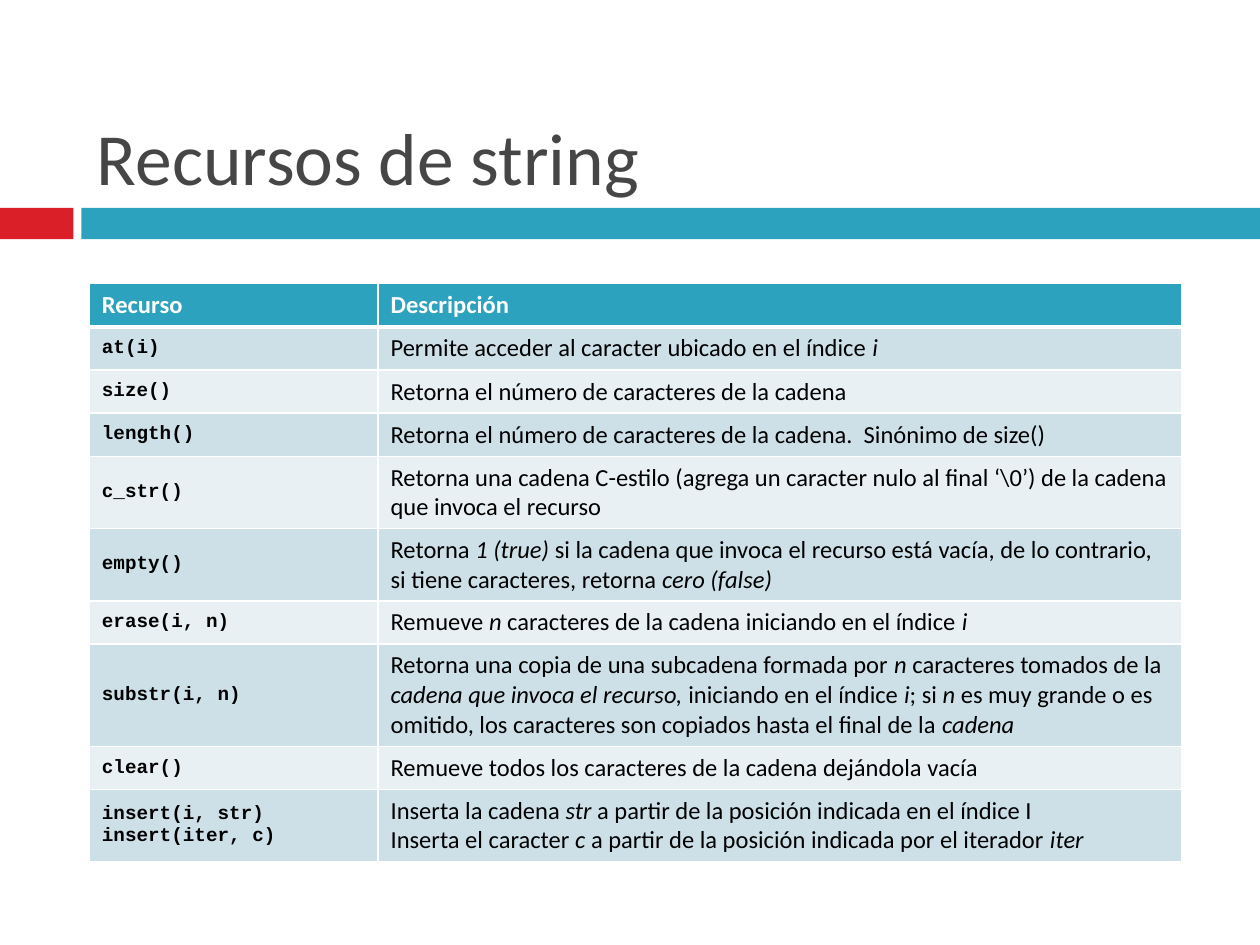
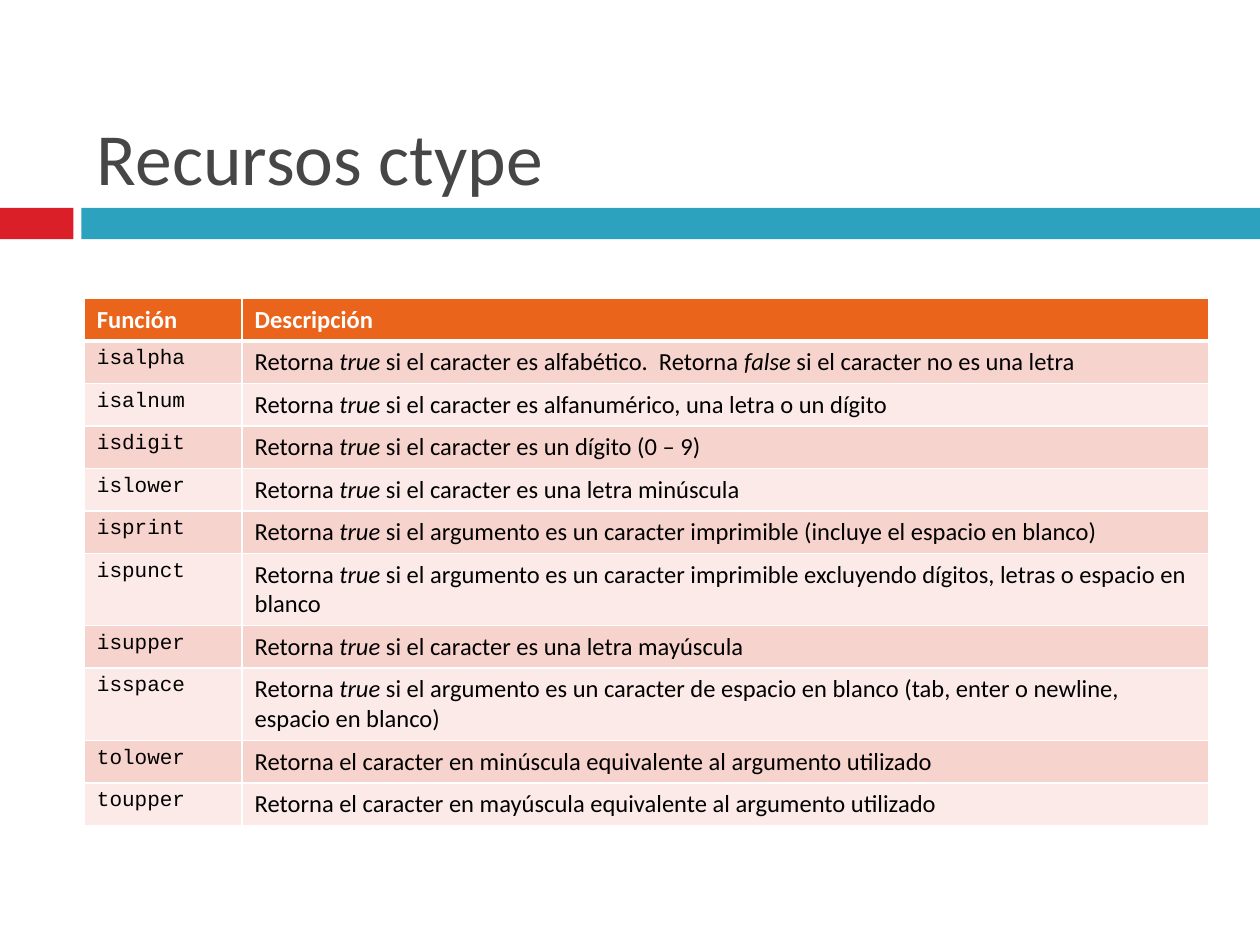
import pptx
import pptx.dml.color
import pptx.enum.shapes
import pptx.enum.text
import pptx.util
from lxml import etree
from pptx.util import Cm

RED, TEAL, ORANGE = "DA1F28", "2DA2BF", "EB641B"
WHITE, BLACK, GREY = "FFFFFF", "000000", "464646"
SANS, MONO = "Calibri", "Courier New"
NS = "http://schemas.openxmlformats.org/drawingml/2006/main"
MIDDLE = pptx.enum.text.MSO_ANCHOR.MIDDLE
TOP = pptx.enum.text.MSO_ANCHOR.TOP


def rgb(color):
    return pptx.dml.color.RGBColor.from_string(color)


def write(tf, text, size=14, font=SANS, color=BLACK, bold=False):
    """Each line becomes a paragraph; parts between asterisks are italic."""
    for n, line in enumerate(text.split("\n")):
        p = tf.paragraphs[0] if n == 0 else tf.add_paragraph()
        p.alignment = pptx.enum.text.PP_ALIGN.LEFT
        for k, part in enumerate(line.split("*")):
            if part:
                r = p.add_run()
                r.text = part
                r.font.size = pptx.util.Pt(size)
                r.font.name = font
                r.font.color.rgb = rgb(color)
                r.font.bold = bold
                r.font.italic = k % 2 == 1


# Each row: name, description, number of lines
string_rows = [
    ("Recurso", "Descripción", 1),
    ("at(i)", "Permite acceder al caracter ubicado en el índice *i*", 1),
    ("size()", "Retorna el número de caracteres de la cadena", 1),
    ("length()", "Retorna el número de caracteres de la cadena.  Sinónimo de size()", 1),
    ("c_str()", "Retorna una cadena C-estilo (agrega un caracter nulo al final ‘\\0’) "
     "de la cadena que invoca el recurso", 2),
    ("empty()", "Retorna *1 (true) *si la cadena que invoca el recurso está vacía, "
     "de lo contrario, si tiene caracteres, retorna *cero (false)*", 2),
    ("erase(i, n)", "Remueve *n* caracteres de la cadena iniciando en el índice *i*", 1),
    ("substr(i, n)", "Retorna una copia de una subcadena formada por *n *caracteres "
     "tomados de la *cadena que invoca el recurso,* iniciando en el índice *i*; si *n *"
     "es muy grande o es omitido, los caracteres son copiados hasta el final de la "
     "*cadena*", 3),
    ("clear()", "Remueve todos los caracteres de la cadena dejándola vacía", 1),
    ("insert(i, str)\ninsert(iter, c)",
     "Inserta la cadena *str* a partir de la posición indicada en el índice I\n"
     "Inserta el caracter *c *a partir de la posición indicada por el iterador *iter*", 2),
]
ctype_rows = [
    ("Función", "Descripción", 1),
    ("isalpha", "Retorna *true* si el caracter es alfabético.  "
     "Retorna *false* si el caracter no es una letra", 1),
    ("isalnum", "Retorna *true* si el caracter es alfanumérico, una letra o un dígito", 1),
    ("isdigit", "Retorna *true* si el caracter es un dígito (0 – 9)", 1),
    ("islower", "Retorna *true* si el caracter es una letra minúscula", 1),
    ("isprint", "Retorna *true* si el argumento es un caracter imprimible "
     "(incluye el espacio en blanco)", 1),
    ("ispunct", "Retorna *true *si el argumento es un caracter imprimible excluyendo "
     "dígitos, letras o espacio en blanco", 2),
    ("isupper", "Retorna *true* si el caracter es una letra mayúscula", 1),
    ("isspace", "Retorna *true* si el argumento es un caracter de espacio en blanco "
     "(tab, enter o newline, espacio en blanco)", 2),
    ("tolower", "Retorna el caracter en minúscula equivalente al argumento utilizado", 1),
    ("toupper", "Retorna el caracter en mayúscula equivalente al argumento utilizado", 1),
]
pages = [
    dict(title="Recursos de string", rows=string_rows, left=1.8, top=5.72,
         widths=(5.82, 16.2), heights={1: 0.87, 2: 1.45, 3: 2.06},
         head=TEAL, bands=("CDE0E8", "E8F0F4"), code_size=11, code_bold=True, anchor=MIDDLE),
    dict(title="Recursos ctype", rows=ctype_rows, left=1.7, top=6.02,
         widths=(3.18, 19.48), heights={1: 0.85, 2: 1.45},
         head=ORANGE, bands=("F7D3CD", "FBEAE8"), code_size=12, code_bold=False, anchor=TOP),
]

prs = pptx.Presentation()
prs.slide_width, prs.slide_height = Cm(25.4), Cm(19.05)
layout = prs.slide_layouts[5]

# Shared title place and bands live on the layout
title = layout.placeholders[0]
title.left, title.top, title.width, title.height = Cm(1.7), Cm(0.43), Cm(22.66), Cm(3.73)
title.text_frame.vertical_anchor = pptx.enum.text.MSO_ANCHOR.BOTTOM
slides = [prs.slides.add_slide(layout) for page in pages]
for left, width, color in ((0, 1.48, RED), (1.64, 23.76, TEAL)):
    sp = slides[0].shapes.add_shape(pptx.enum.shapes.MSO_SHAPE.RECTANGLE,
                                    Cm(left), Cm(4.19), Cm(width), Cm(0.63))
    sp.shadow.inherit = False
    sp.fill.solid()
    sp.fill.fore_color.rgb = rgb(color)
    sp.line.fill.background()
    layout.shapes.element.append(sp.element)

for s, page in zip(slides, pages):
    write(s.shapes.title.text_frame, page["title"], size=42, color=GREY)
    rows, widths = page["rows"], page["widths"]
    heights = [page["heights"][lines] for name, description, lines in rows]
    table = s.shapes.add_table(len(rows), 2, Cm(page["left"]), Cm(page["top"]),
                               Cm(sum(widths)), Cm(sum(heights))).table
    for column, width in zip(table.columns, widths):
        column.width = Cm(width)

    for i, (name, description, lines) in enumerate(rows):
        table.rows[i].height = Cm(heights[i])
        for j, text in enumerate((name, description)):
            cell = table.cell(i, j)
            cell.vertical_anchor = page["anchor"] if i else TOP
            tc_pr = cell._tc.get_or_add_tcPr()
            for side in "LRTB":
                thick = (i, side) in ((0, "B"), (1, "T"))
                ln = etree.SubElement(tc_pr, f"{{{NS}}}ln{side}", w=str(pptx.util.Pt(3 if thick else 1)))
                fill = etree.SubElement(ln, f"{{{NS}}}solidFill")
                etree.SubElement(fill, f"{{{NS}}}srgbClr", val=WHITE)
            cell.fill.solid()
            cell.fill.fore_color.rgb = rgb(page["bands"][(i - 1) % 2] if i else page["head"])
            if i == 0:
                write(cell.text_frame, text, color=WHITE, bold=True)
            elif j == 0:
                write(cell.text_frame, text, size=page["code_size"], font=MONO,
                      bold=page["code_bold"])
            else:
                write(cell.text_frame, text)

prs.save("out.pptx")
